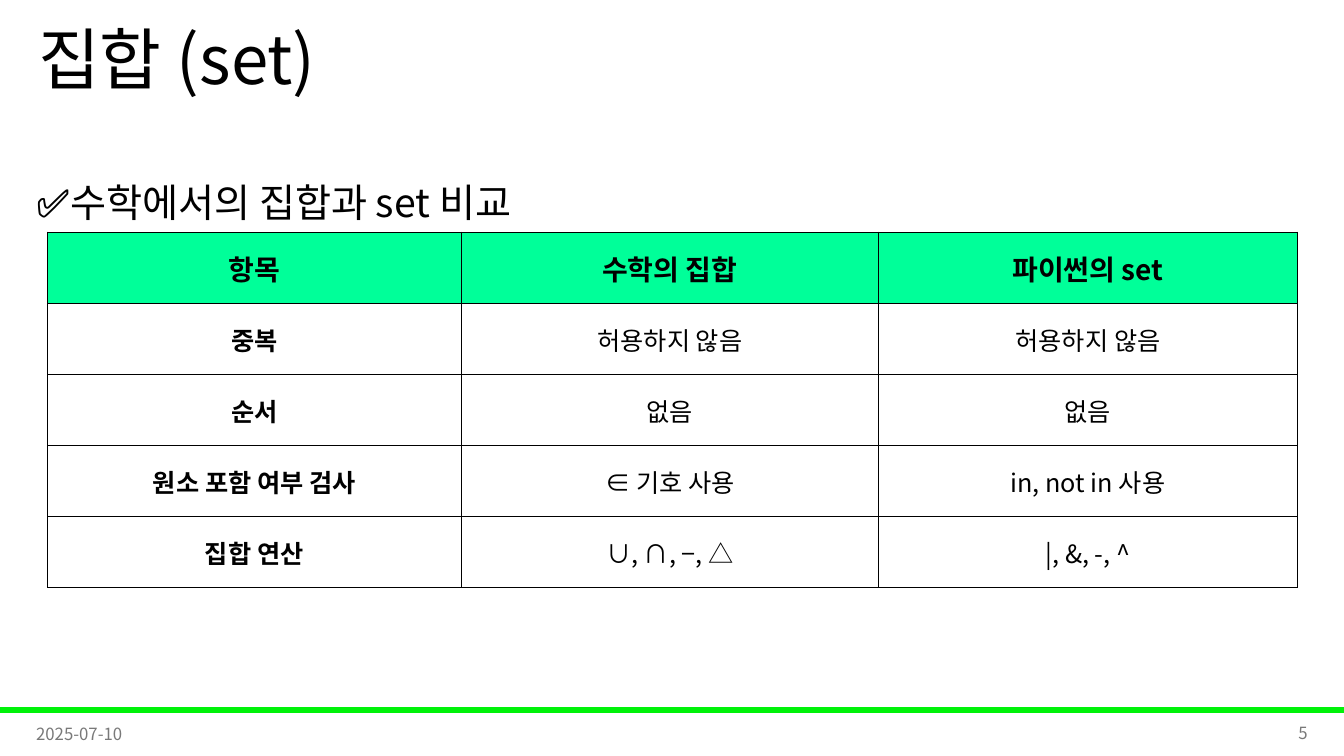
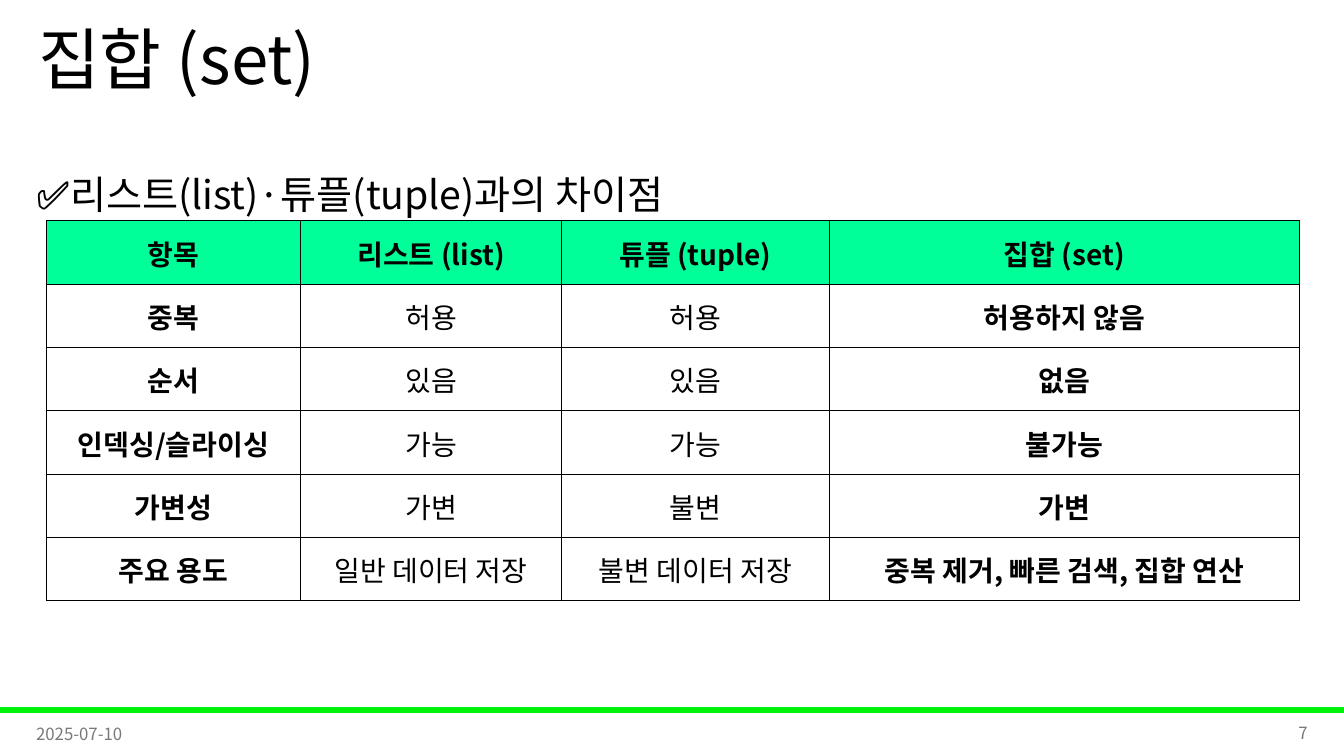
from lxml.etree import SubElement
from pptx import Presentation
from pptx.dml.color import RGBColor
from pptx.enum.shapes import MSO_SHAPE as Shape
from pptx.enum.text import MSO_ANCHOR as Anchor, PP_ALIGN as Align
from pptx.oxml import parse_xml
from pptx.oxml.ns import nsdecls, qn
from pptx.util import Inches, Pt

# Shared style
FONT = "Noto Sans CJK KR"
BLACK, WHITE, GREY = "000000", "FFFFFF", "797979"
BAND_GREEN, HEADER_GREEN = "00F209", "00FF99"
TITLE = {"size": 48, "line_spacing": 0.9}
HEADING = {"size": 28, "line_spacing": 1.5, "space_before": Pt(10)}
FOOTER = {"size": 12, "color": GREY}
CELL_MARGINS = {"margin_left": 0.01, "margin_right": 0.01,
                "margin_top": 0.01, "margin_bottom": 0}
rgb = RGBColor.from_string

# Positions are percentages of the slide: left, top, width, height
TITLE_AREA = (2.1, 0, 86.27, 16.67)
BAND_AREA = (0, 93.6, 100, 0.67)
DATE_AREA = (1.95, 94.4, 22.5, 5.33)
NUMBER_AREA = (75.53, 94.27, 22.5, 5.33)

# Column widths are percentages of the table
SLIDES = [
    {
        "number": "5",
        "heading": "✅수학에서의 집합과 set 비교",
        "heading_area": (1.95, 19.87, 96, 10.8),
        "table_area": (3.53, 30.67, 93, 47.07),
        "columns": (33.09, 33.41, 33.5),
        "body_size": 18,
        "bold_columns": (0,),
        "rows": [
            ("항목", "수학의 집합", "파이썬의 set"),
            ("중복", "허용하지 않음", "허용하지 않음"),
            ("순서", "없음", "없음"),
            ("원소 포함 여부 검사", "∈ 기호 사용", "in, not in 사용"),
            ("집합 연산", "∪, ∩, −, △", "|, &, -, ^"),
        ],
    },
    {
        "number": "7",
        "heading": "✅리스트(list)·튜플(tuple)과의 차이점",
        "heading_area": (1.95, 18.8, 96, 10.8),
        "table_area": (3.45, 29.2, 93.25, 50.27),
        "columns": (20.28, 20.85, 21.33, 37.54),
        "body_size": 20,
        "bold_columns": (0, 3),
        "rows": [
            ("항목", "리스트 (list)", "튜플 (tuple)", "집합 (set)"),
            ("중복", "허용", "허용", "허용하지 않음"),
            ("순서", "있음", "있음", "없음"),
            ("인덱싱/슬라이싱", "가능", "가능", "불가능"),
            ("가변성", "가변", "불변", "가변"),
            ("주요 용도", "일반 데이터 저장", "불변 데이터 저장",
             "중복 제거, 빠른 검색, 집합 연산"),
        ],
    },
]

presentation = Presentation()
presentation.slide_width = Inches(13.33)
presentation.slide_height = Inches(7.5)


def place(left, top, width, height):
    """Turn percentages of the slide into lengths."""
    across, down = presentation.slide_width, presentation.slide_height
    return [int(share * full / 100) for share, full in
            ((left, across), (top, down), (width, across), (height, down))]


def write(frame, text, size, color=BLACK, bold=False, **paragraph_format):
    """Put one formatted paragraph into a text frame."""
    paragraph = frame.paragraphs[0]
    for name, value in paragraph_format.items():
        setattr(paragraph, name, value)
    run = paragraph.add_run()
    run.text = text
    for name, value in {"name": FONT, "size": Pt(size), "bold": bold}.items():
        setattr(run.font, name, value)
    run.font.color.rgb = rgb(color)
    SubElement(run.font._element, qn("a:ea"), typeface=FONT)


for content in SLIDES:
    slide = presentation.slides.add_slide(presentation.slide_layouts[6])

    # Green band above the footer
    band = slide.shapes.add_shape(Shape.RECTANGLE, *place(*BAND_AREA))
    band.shadow.inherit = False
    band.fill.solid()
    band.fill.fore_color.rgb = rgb(BAND_GREEN)
    band.line.color.rgb = rgb(BAND_GREEN)
    band.line.width = Pt(1)

    # Title, footer and heading
    for text, area, anchor, text_format in (
        ("집합 (set)", TITLE_AREA, Anchor.MIDDLE, TITLE),
        ("2025-07-10", DATE_AREA, Anchor.MIDDLE, FOOTER),
        (content["number"], NUMBER_AREA, Anchor.MIDDLE,
         {**FOOTER, "alignment": Align.RIGHT}),
        (content["heading"], content["heading_area"], Anchor.TOP, HEADING),
    ):
        frame = slide.shapes.add_textbox(*place(*area)).text_frame
        frame.word_wrap = True
        frame.vertical_anchor = anchor
        write(frame, text, **text_format)

    # Comparison table
    rows, columns = content["rows"], content["columns"]
    table_area = place(*content["table_area"])
    table = slide.shapes.add_table(len(rows), len(columns), *table_area).table
    table.horz_banding = False
    for column, share in zip(table.columns, columns):
        column.width = int(table_area[2] * share / 100)

    for row_index, row in enumerate(rows):
        is_header = row_index == 0
        for column_index, text in enumerate(row):
            cell = table.cell(row_index, column_index)
            cell.vertical_anchor = Anchor.MIDDLE
            for name, value in CELL_MARGINS.items():
                setattr(cell, name, Inches(value))
            cell.fill.solid()
            cell.fill.fore_color.rgb = rgb(HEADER_GREEN if is_header else WHITE)
            write(cell.text_frame, text,
                  size=20 if is_header else content["body_size"],
                  bold=is_header or column_index in content["bold_columns"],
                  alignment=Align.CENTER)

            # Thin border on all four sides, ahead of the fill
            properties = cell._tc.get_or_add_tcPr()
            for position, side in enumerate(("lnL", "lnR", "lnT", "lnB")):
                properties.insert(position, parse_xml(
                    f'<a:{side} {nsdecls("a")} w="{Pt(0.5)}"><a:solidFill>'
                    f'<a:srgbClr val="{BLACK}"/></a:solidFill></a:{side}>'))

presentation.save("out.pptx")
